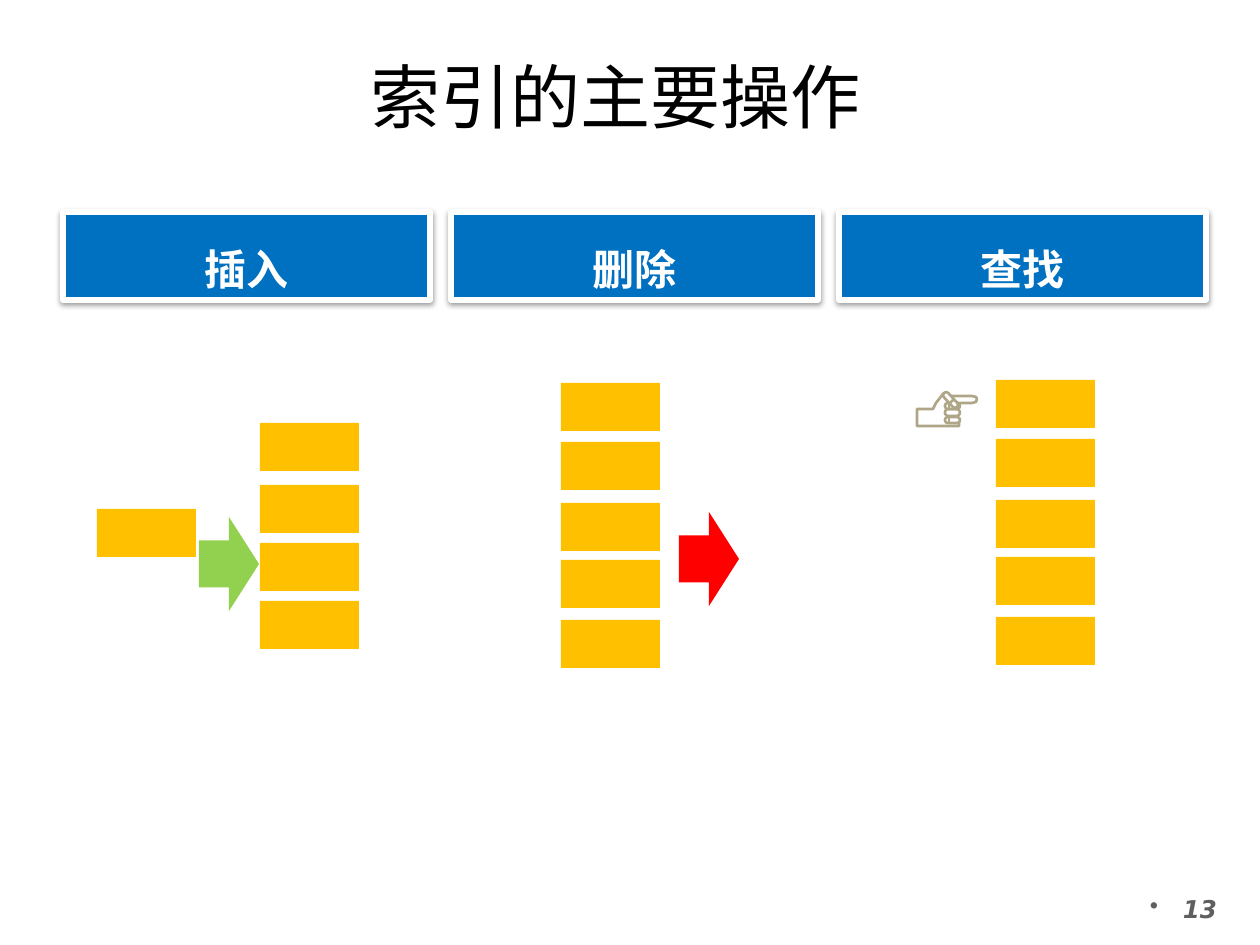
from lxml import etree
from pptx import Presentation
from pptx import util as u
from pptx.dml.color import RGBColor
from pptx.enum import shapes, text
from pptx.oxml import ns, parse_xml

PX = 914400 / 126
GOLD, TAN, WHITE = "FFC000", "AFA587", "FFFFFF"
KIND = shapes.MSO_SHAPE


def px(n):
    return u.Emu(round(n * PX))


def rgb(code):
    return RGBColor.from_string(code)


def box(parent, kind, x, y, w, h, fill, line=None, width=1.5):
    shape = parent.shapes.add_shape(kind, px(x), px(y), px(w), px(h))
    shape.shadow.inherit = False
    paint(shape, fill, line, width)
    return shape


def paint(shape, fill, line, width=1.5):
    if fill:
        shape.fill.solid()
        shape.fill.fore_color.rgb = rgb(fill)
    else:
        shape.fill.background()
    if line:
        shape.line.color.rgb = rgb(line)
        shape.line.width = u.Pt(width)
    else:
        shape.line.fill.background()


def write(shape, words, size, font, color, bold=False, italic=False,
          anchor=text.MSO_ANCHOR.TOP, bullet=0):
    frame = shape.text_frame
    frame.word_wrap = True
    frame.vertical_anchor = anchor
    para = frame.paragraphs[0]
    para.alignment = text.PP_ALIGN.CENTER
    if bullet:
        props = para._p.get_or_add_pPr()
        props.set("marL", str(px(bullet)))
        props.set("indent", str(-px(bullet)))
        etree.SubElement(props, ns.qn("a:buChar")).set("char", "•")
    run = para.add_run()
    run.text = words
    run.font.size = u.Pt(size)
    run.font.name = font
    run.font.bold = bold
    run.font.italic = italic
    run.font.color.rgb = rgb(color)
    east = etree.SubElement(run._r.get_or_add_rPr(), ns.qn("a:ea"))
    east.set("typeface", font)


def title(slide, x, y, w, h):
    area = slide.shapes.add_textbox(px(x), px(y), px(w), px(h))
    write(area, "索引的主要操作", 40, "Noto Sans CJK JP", "000000",
          anchor=text.MSO_ANCHOR.MIDDLE)


def number(slide, x, y, w, h):
    area = slide.shapes.add_textbox(px(x), px(y), px(w), px(h))
    frame = area.text_frame
    frame.margin_left, frame.margin_right = 0, px(24)
    frame.margin_top = px(3)
    write(area, "13", 14, "DejaVu Sans", "5F5F5F", bold=True, italic=True,
          bullet=33)


def header(slide, words, x, y, w, h):
    shape = box(slide, KIND.RECTANGLE, x, y, w, h, "0070C0", WHITE, 3)
    effect = shape._element.spPr.find(ns.qn("a:effectLst"))
    effect.append(parse_xml(
        f'<a:outerShdw {ns.nsdecls("a")} blurRad="40000" dist="20000" '
        'dir="5400000" rotWithShape="0"><a:srgbClr val="000000">'
        '<a:alpha val="38000"/></a:srgbClr></a:outerShdw>'))
    write(shape, words, 24, "Noto Sans Mono", WHITE, bold=True,
          anchor=text.MSO_ANCHOR.BOTTOM)


def stack(slide, x, y, steps):
    for step in steps:
        box(slide, KIND.RECTANGLE, x, y + step, 99, 48, GOLD)


def arrow(slide, x, y, color):
    box(slide, KIND.RIGHT_ARROW, x, y, 60, 94, color)


def hand(slide, x, y):
    group = slide.shapes.add_group_shape()

    # Palm and pointing finger
    rim = [(28, 0), (33, 3), (55, 3), (59, 4), (60, 6), (59, 9), (55, 10),
           (33, 10), (33, 28), (42, 28), (42, 33), (0, 33), (0, 16), (16, 16),
           (19, 10), (26, 1)]
    points = [(x + a, y + b) for a, b in rim]
    pen = group.shapes.build_freeform(*points[0], scale=PX)
    pen.add_line_segments(points[1:], close=True)
    palm = pen.convert_to_shape()
    palm.shadow.inherit = False
    paint(palm, None, TAN)

    # Folded fingers and thumb
    for a, b, w, h, turn in [(28, 16, 15, 7, 0), (28, 10, 15, 6, 0),
                             (28, 24, 15, 6, 0), (24, 4, 19, 6, 47.5)]:
        finger = box(group, KIND.ROUNDED_RECTANGLE, x + a, y + b, w, h,
                     WHITE, TAN)
        finger.adjustments[0] = 0.5
        finger.rotation = turn

    # Creases
    for a, b, c, d in [(37, 6, 32, 11), (32, 16, 32, 10), (32, 30, 32, 24)]:
        crease = group.shapes.add_connector(
            shapes.MSO_CONNECTOR.STRAIGHT,
            px(x + a), px(y + b), px(x + c), px(y + d))
        crease.line.color.rgb = rgb(TAN)
        crease.line.width = u.Pt(1.5)
        etree.SubElement(crease._element.spPr, ns.qn("a:effectLst"))


def insert(slide, x, y):
    header(slide, "插入", x, y, 367, 88)
    stack(slide, x + 197, y + 211, (0, 62, 120, 178))
    stack(slide, x + 34, y + 297, (0,))
    arrow(slide, x + 136, y + 305, "92D050")


def delete(slide, x, y, steps):
    header(slide, "删除", x, y, 367, 88)
    stack(slide, x + 110, y + 171, steps)
    arrow(slide, x + 228, y + 300, "FF0000")


def find(slide, x, y, steps):
    header(slide, "查找", x, y, 367, 88)
    stack(slide, x + 157, y + 168, steps)
    hand(slide, x + 78, y + 181)


def main():
    deck = Presentation()
    deck.slide_width, deck.slide_height = px(1260), px(945)
    slide = deck.slides.add_slide(deck.slide_layouts[6])
    title(slide, 164, 47, 903, 97)
    number(slide, 1131, 891, 129, 54)

    # Three operations, one column each
    left, top, pitch = 63, 212, 388
    steps = (0, 59, 120, 177, 237)
    insert(slide, left, top)
    delete(slide, left + pitch, top, steps)
    find(slide, left + 2 * pitch, top, steps)
    deck.save("out.pptx")


if __name__ == "__main__":
    main()
